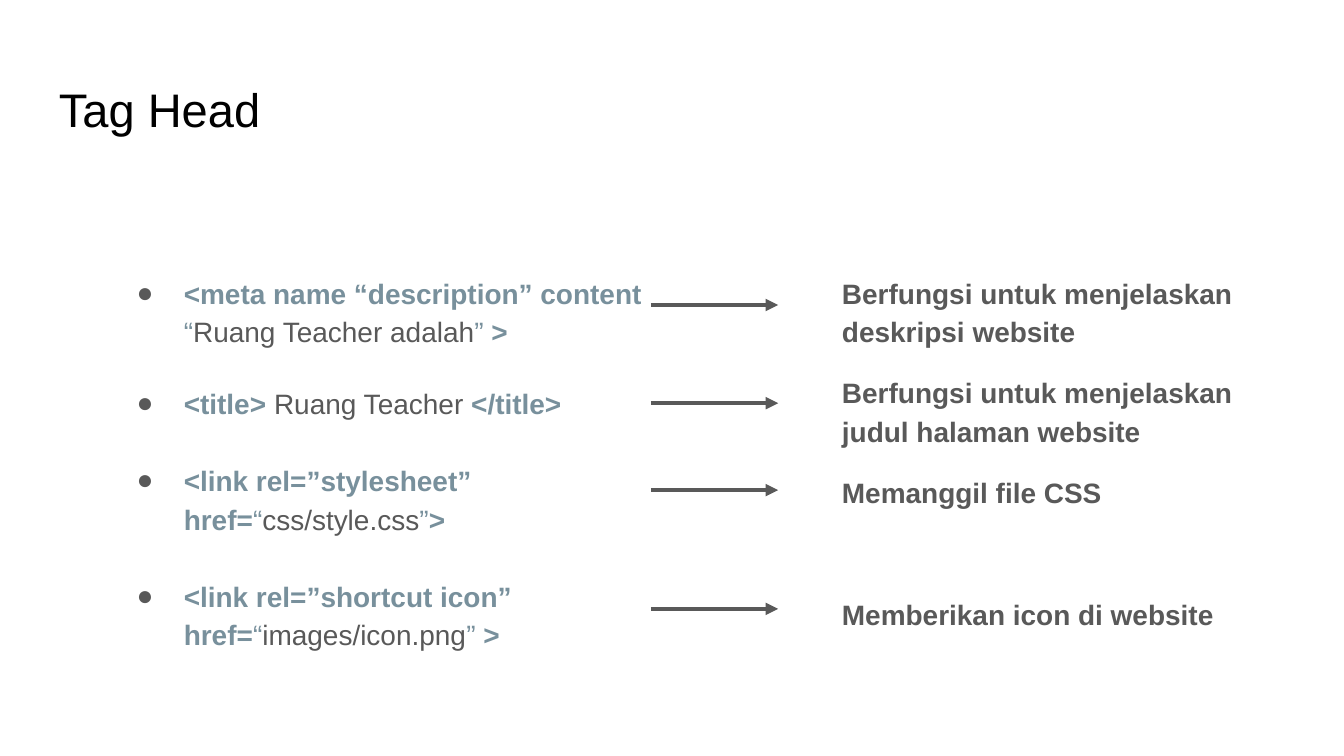
from lxml.etree import SubElement
from pptx import Presentation
from pptx.dml.color import RGBColor
from pptx.enum.shapes import MSO_CONNECTOR as CONNECTOR
from pptx.enum.text import MSO_ANCHOR as ANCHOR
from pptx.oxml.ns import qn
from pptx.util import Pt

BLACK = RGBColor(0x00, 0x00, 0x00)
GRAY = RGBColor(0x59, 0x59, 0x59)
BLUE_GRAY = RGBColor(0x78, 0x90, 0x9C)

TAG = dict(size=Pt(15), name="Arial", bold=True, color=BLUE_GRAY)
QUOTE = dict(TAG, bold=False)
VALUE = dict(QUOTE, color=GRAY)
MEANING = dict(TAG, color=GRAY)
HEADING = dict(size=Pt(25.2), name="Arial", bold=False, color=BLACK)


def add_frame(left, top, width, height, anchor):
    frame = slide.shapes.add_textbox(Pt(left), Pt(top), Pt(width), Pt(height)).text_frame
    settings = dict(word_wrap=True, vertical_anchor=anchor, margin_left=Pt(7.2),
                    margin_right=Pt(7.2), margin_top=Pt(7.2), margin_bottom=Pt(7.2))
    for key, value in settings.items():
        setattr(frame, key, value)
    return frame


def add_run(paragraph, text, style):
    run = paragraph.add_run()
    run.text = text
    for key, value in style.items():
        if key == "color":
            run.font.color.rgb = value
        else:
            setattr(run.font, key, value)


prs = Presentation()
prs.slide_width, prs.slide_height = Pt(720), Pt(405)
slide = prs.slides.add_slide(prs.slide_layouts[6])

heading = add_frame(24.5, 35.3, 671, 45.4, ANCHOR.MIDDLE)
add_run(heading.paragraphs[0], "Tag Head", HEADING)

tags = [
    (0, [("<meta name “description” content ", TAG), ("“", QUOTE),
         ("Ruang Teacher adalah", VALUE), ("” ", QUOTE), (">", TAG)]),
    (17.7, [("<title> ", TAG), ("Ruang Teacher ", VALUE), ("</title>", TAG)]),
    (20.5, [("<link rel=”stylesheet” href=", TAG), ("“", QUOTE),
            ("css/style.css", VALUE), ("”", QUOTE), (">", TAG)]),
    (20.5, [("<link rel=”shortcut icon” href=", TAG), ("“", QUOTE),
            ("images/icon.png", VALUE), ("” ", QUOTE), (">", TAG)]),
]
tag_list = add_frame(55.4, 138.2, 304.6, 200, ANCHOR.TOP)
for i, (gap, parts) in enumerate(tags):
    tag = tag_list.add_paragraph() if i else tag_list.paragraphs[0]
    tag.line_spacing = 1.15
    tag.space_before = Pt(gap)
    props = tag._p.get_or_add_pPr()
    props.set("marL", str(Pt(36)))
    props.set("indent", str(-Pt(25.2)))
    bullet_color = SubElement(props, qn("a:buClr"))
    SubElement(bullet_color, qn("a:srgbClr"), val=str(GRAY))
    SubElement(props, qn("a:buFont"), typeface="Arial")
    SubElement(props, qn("a:buChar"), char="●")
    for text, style in parts:
        add_run(tag, text, style)

meanings = [
    (0, "Berfungsi untuk menjelaskan deskripsi website"),
    (12, "Berfungsi untuk menjelaskan judul halaman website"),
    (12, "Memanggil file CSS"),
    (44.7, "Memberikan icon di website"),
]
meaning_list = add_frame(444, 138.2, 244, 200, ANCHOR.TOP)
for i, (gap, text) in enumerate(meanings):
    meaning = meaning_list.add_paragraph() if i else meaning_list.paragraphs[0]
    meaning.line_spacing = 1.15
    meaning.space_before = Pt(gap)
    add_run(meaning, text, MEANING)

for y in (163.4, 216, 262.6, 326.2):
    arrow = slide.shapes.add_connector(CONNECTOR.STRAIGHT, Pt(348.7), Pt(y), Pt(416.9), Pt(y))
    arrow.line.color.rgb = GRAY
    arrow.line.width = Pt(2.25)
    SubElement(arrow.line._get_or_add_ln(), qn("a:tailEnd"), type="triangle")
    SubElement(arrow._element.spPr, qn("a:effectLst"))

prs.save("out.pptx")
